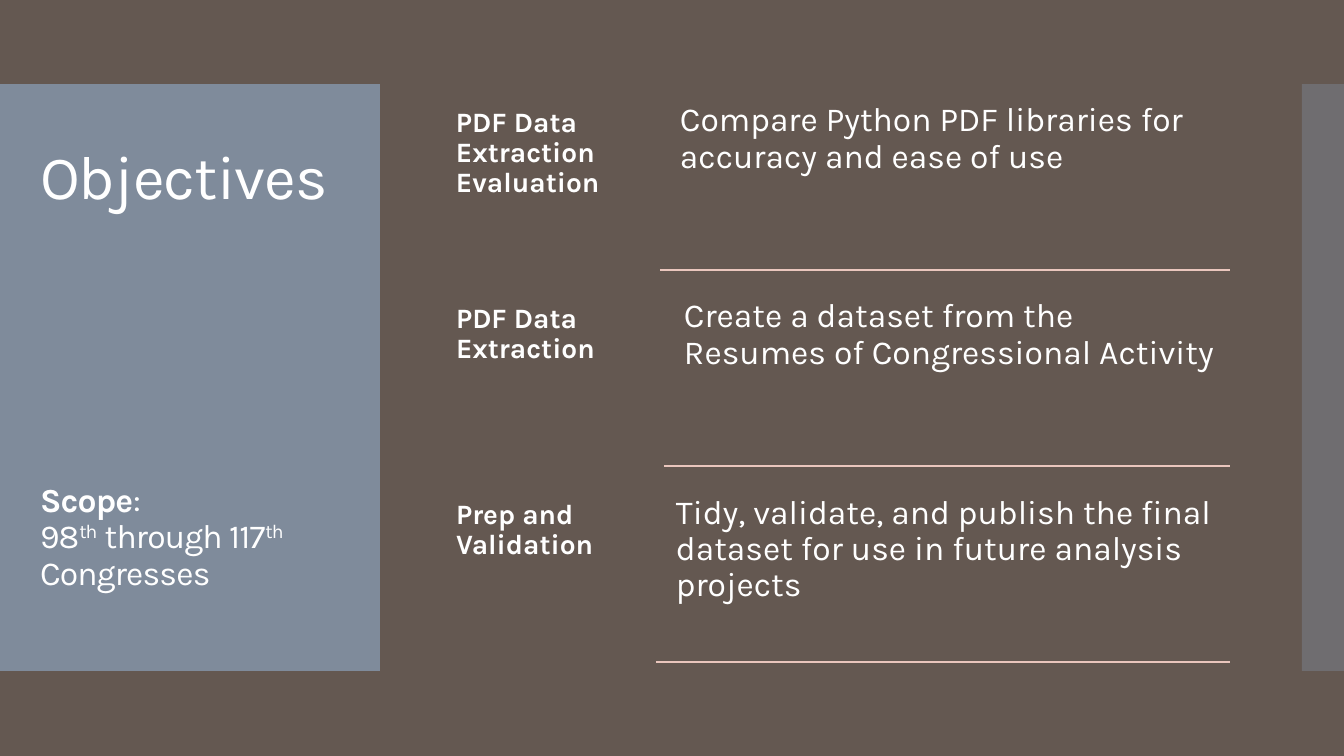
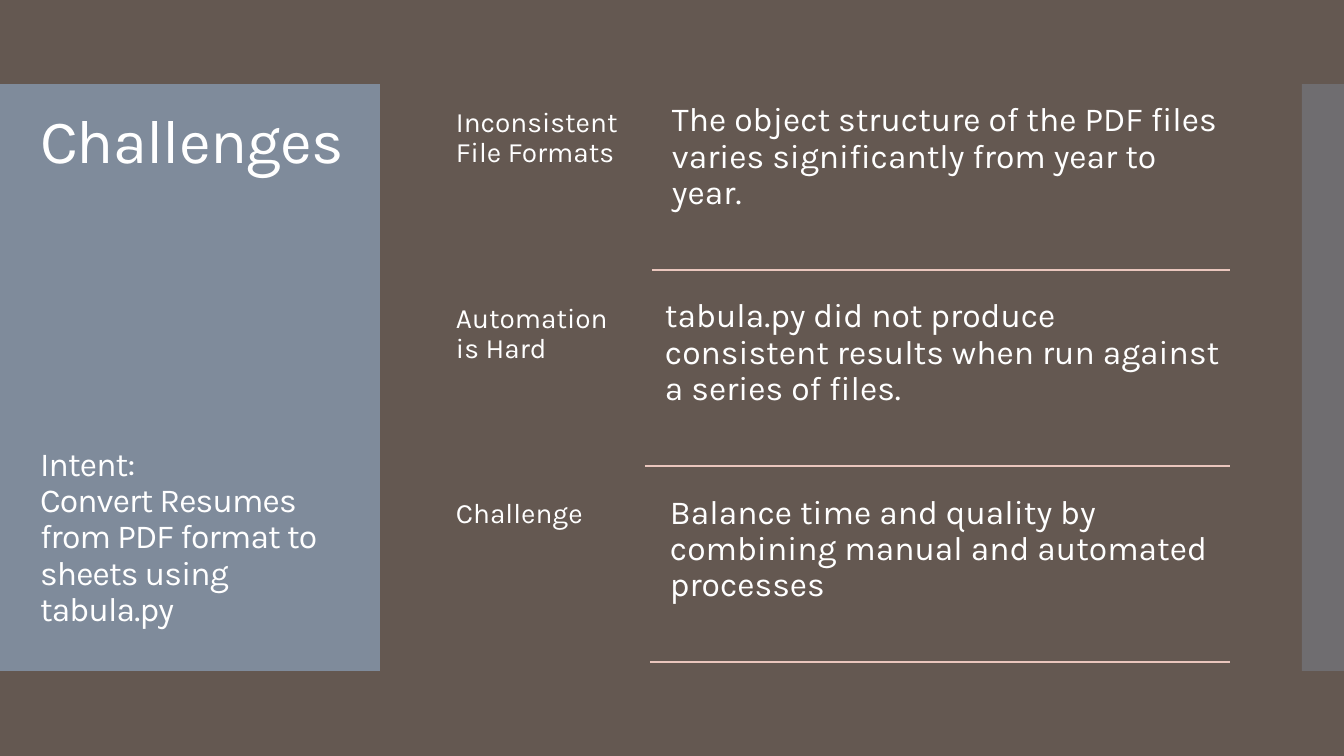
from dataclasses import dataclass

from lxml.etree import SubElement
from pptx import Presentation
from pptx.dml.color import RGBColor as RGB
from pptx.enum.shapes import MSO_CONNECTOR as CONN, MSO_SHAPE as SHAPE
from pptx.enum.text import MSO_ANCHOR as ANCHOR
from pptx.oxml.ns import qn
from pptx.util import Emu, Pt


@dataclass(frozen=True)
class Theme:
    font: str = "Karla"
    back: RGB = RGB(0x64, 0x58, 0x51)
    band: RGB = RGB(0x81, 0x8E, 0x9F)
    rule: RGB = RGB(0xEA, 0xC6, 0xBD)
    text: RGB = RGB(0xFF, 0xFF, 0xFF)
    title_pt: int = 44
    body_pt: int = 24
    label_pt: int = 20
    rule_pt: float = 0.85
    leading: float = 0.9
    title_gap: int = 193
    title_track: int = -60
    raised: int = 30000


T = Theme()
SLIDE_W, SLIDE_H = 1344, 756
SCALE = 12192000 / SLIDE_W

# Boxes are left, top, width, height
PANEL = (0, 84, 380, 587)
EDGE = (1302, 84, 42, 587)
ROWS = (448, 84, 782, 588)

PLAIN, BOLD, SUPER = {}, {"bold": True}, {"baseline": T.raised}


def px(n):
    return Emu(round(n * SCALE))


def place(*lengths):
    return [px(n) for n in lengths]


def add_run(p, text, size, bold=None, **attrs):
    r = p.add_run()
    r.text = text
    for name, value in dict(name=T.font, size=Pt(size), bold=bold).items():
        setattr(r.font, name, value)
    r.font.color.rgb = T.text
    for name, value in attrs.items():
        r._r.get_or_add_rPr().set(name, str(value))


def add_text(s, box, paras, size, insets, anchor=ANCHOR.TOP, **attrs):
    """Write paragraphs, each a list of (text, format) runs."""
    tf = s.shapes.add_textbox(*place(*box)).text_frame
    left, top, right, bottom = place(*insets)
    frame = dict(word_wrap=True, vertical_anchor=anchor, margin_left=left,
                 margin_top=top, margin_right=right, margin_bottom=bottom)
    for name, value in frame.items():
        setattr(tf, name, value)
    for i, runs in enumerate(paras):
        p = tf.add_paragraph() if i else tf.paragraphs[0]
        p.line_spacing = T.leading
        for text, fmt in runs:
            add_run(p, text, **{"size": size, **attrs, **fmt})
    return tf


def add_band(s, box, alpha):
    sp = s.shapes.add_shape(SHAPE.RECTANGLE, *place(*box))
    sp.shadow.inherit = False
    sp.fill.solid()
    sp.fill.fore_color.rgb = T.band
    sp.line.fill.background()
    color = sp._element.spPr.find(qn("a:solidFill"))[0]
    SubElement(color, qn("a:alpha")).set("val", str(alpha * 1000))


def add_rule(s, x1, x2, y):
    line = s.shapes.add_connector(CONN.STRAIGHT, *place(x1, y, x2, y))
    line.line.color.rgb = T.rule
    line.line.width = Pt(T.rule_pt)
    SubElement(line._element.spPr, qn("a:effectLst"))


def add_panel(s, box, title, note):
    """Left band with the title and, well below it, the note."""
    x, y, w, h = box
    add_band(s, box, 95)
    heading = [(title, {"size": T.title_pt})]
    tf = add_text(s, (x + 30, y + 14, w - 55, h - 44), [heading] + note,
                  T.body_pt, (10, 5, 10, 5), ANCHOR.MIDDLE,
                  spc=T.title_track)
    tf.paragraphs[1].space_before = Pt(T.title_gap)


def add_row(s, box, label, text, split, label_fmt):
    """Label on the left, text on the right with a rule beneath."""
    x, y, w, h = box
    add_text(s, (x, y, split, h), [[(label, label_fmt)]], T.label_pt,
             (8, 24, 8, 8))
    left, bottom = x + split, y + h - 10
    add_text(s, (left + 10, y + 9, w - split - 10, h - 19),
             [[(text, PLAIN)]], T.body_pt, (10, 10, 10, 10))
    add_rule(s, left, x + w, bottom)


def add_slide(prs, title, note, rows, label_fmt):
    s = prs.slides.add_slide(prs.slide_layouts[6])
    add_band(s, EDGE, 40)
    add_panel(s, PANEL, title, note)
    x, y, w, h = ROWS
    pitch = h // len(rows)
    for i, row in enumerate(rows):
        add_row(s, (x, y + i * pitch, w, pitch), *row, label_fmt)


# Title, note paragraphs, rows of (label, text, label width), label format
SLIDES = [
    ("Objectives",
     [[("Scope", BOLD), (":", PLAIN)],
      [("98", PLAIN), ("th", SUPER), (" through 117", PLAIN),
       ("th", SUPER), (" Congresses", PLAIN)]],
     [("PDF Data Extraction Evaluation",
       "Compare Python PDF libraries for accuracy and ease of use", 212),
      ("PDF Data Extraction",
       "Create a dataset from the Resumes of Congressional Activity", 216),
      ("Prep and Validation",
       "Tidy, validate, and publish the final dataset for use in future "
       "analysis projects", 208)],
     BOLD),
    ("Challenges",
     [[("Intent:", PLAIN)],
      [("Convert Resumes from PDF format to sheets using tabula.py", PLAIN)]],
     [("Inconsistent File Formats",
       "The object structure of the PDF files varies significantly from "
       "year to year.", 204),
      ("Automation is Hard",
       "tabula.py did not produce consistent results when run against a "
       "series of files.", 197),
      ("Challenge",
       "Balance time and quality by combining manual and automated "
       "processes", 202)],
     PLAIN),
]


def main():
    prs = Presentation()
    prs.slide_width, prs.slide_height = place(SLIDE_W, SLIDE_H)
    fill = prs.slide_master.background.fill
    fill.solid()
    fill.fore_color.rgb = T.back
    for content in SLIDES:
        add_slide(prs, *content)
    prs.save("out.pptx")


if __name__ == "__main__":
    main()
